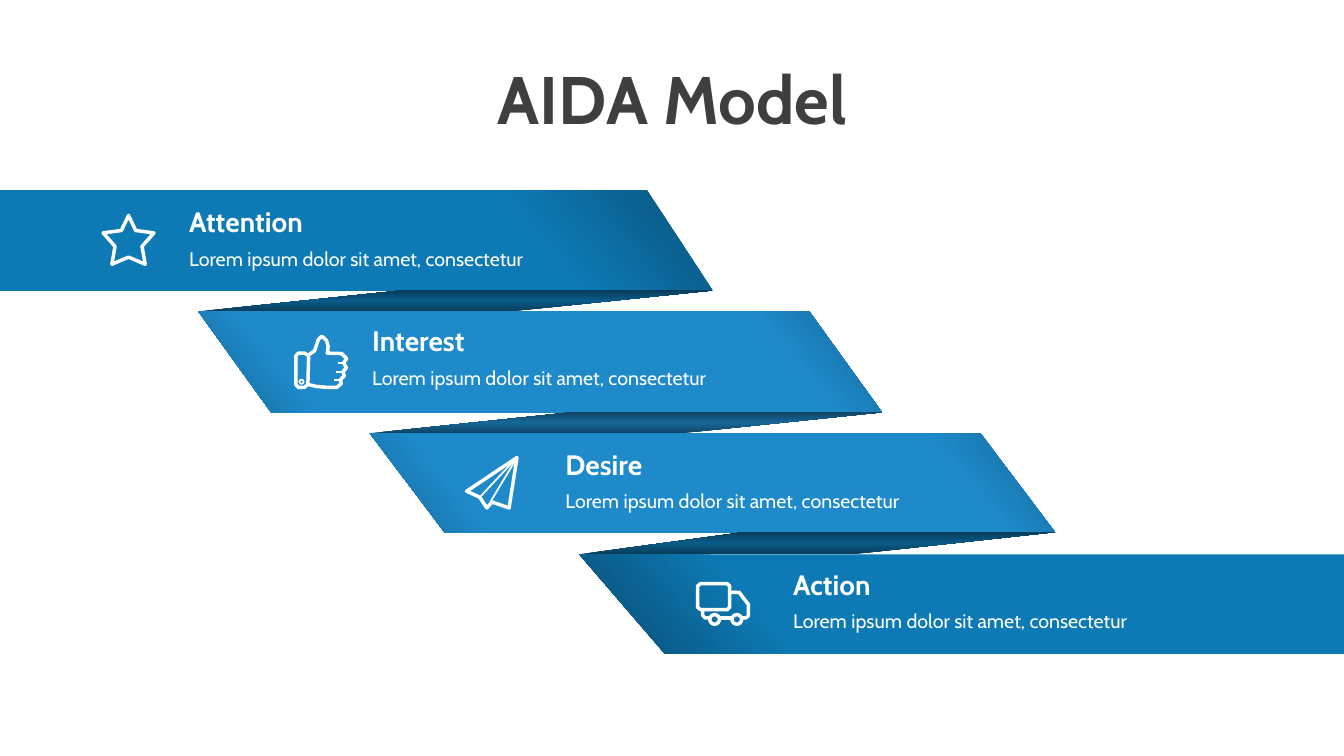
"""Builds the AIDA Model slide: a folded ribbon with four labelled bands."""
from dataclasses import dataclass
from math import cos, pi, sin
from typing import Optional

from lxml.etree import SubElement
from pptx import Presentation
from pptx.dml.color import RGBColor
from pptx.enum.text import MSO_ANCHOR as Anchor, MSO_AUTO_SIZE as AutoSize, PP_ALIGN as Align
from pptx.oxml.ns import qn
from pptx.shapes.autoshape import Shape
from pptx.slide import Slide
from pptx.util import Cm, Pt

COLORS = {
    "title": "3F3F3F", "white": "FFFFFF",
    "outer": "0D7AB5", "outer_shade": "0A5B88", "outer_fold": "073D5A",
    "inner": "1E8ACA", "inner_shade": "176798", "inner_fold": "0F4565",
}
FONT = "Cabin"
BODY = "Lorem ipsum dolor sit amet, consectetur"

Point = tuple[float, float]
Stops = tuple[tuple[int, str], ...]


@dataclass(frozen=True)
class Contour:
    points: tuple[Point, ...]
    closed: bool = True


@dataclass(frozen=True)
class Strokes:
    weight: float
    contours: tuple[Contour, ...]


@dataclass(frozen=True)
class Icon:
    left: float
    top: float
    strokes: tuple[Strokes, ...]


@dataclass(frozen=True)
class Fold:
    upper_x: float
    lower_x: float
    edge: str
    middle: str


@dataclass(frozen=True)
class Band:
    heading: str
    top: float
    bottom: float
    top_left: float
    top_right: float
    bottom_left: float
    bottom_right: float
    stops: Stops
    text_left: float
    text_top: float
    icon: Icon
    fold: Optional[Fold] = None


def circle(x: float, y: float, radius: float, steps: int = 24) -> Contour:
    """Return a closed ring of evenly spaced points."""
    angles = [2 * pi * step / steps for step in range(steps)]
    return Contour(tuple((x + radius * cos(a), y + radius * sin(a)) for a in angles))


def open_line(*points: Point) -> Contour:
    """Return an unclosed contour."""
    return Contour(points, closed=False)


STAR = Icon(2.54, 5.38, (Strokes(2.5, (Contour((
    (0.7, 0.05), (0.88, 0.43), (1.34, 0.49), (1.04, 0.83), (1.12, 1.28),
    (0.7, 1.1), (0.28, 1.28), (0.36, 0.83), (0.06, 0.49), (0.52, 0.43))),)),))

THUMB = Icon(7.42, 8.43, (
    Strokes(2.5, (
        Contour((
            (0.36, 0.51), (0.51, 0.41), (0.6, 0.13), (0.69, 0.04), (0.81, 0.15),
            (0.85, 0.3), (0.83, 0.47), (1.19, 0.48), (1.32, 0.61), (1.24, 0.71),
            (1.31, 0.84), (1.22, 0.94), (1.26, 1.04), (1.16, 1.14), (1.18, 1.24),
            (1.07, 1.33), (0.81, 1.33), (0.56, 1.31), (0.34, 1.26))),
        open_line((0.33, 0.52), (0.26, 0.47), (0.1, 0.47), (0.04, 0.53),
                  (0.04, 1.27), (0.1, 1.33), (0.26, 1.33), (0.33, 1.26)))),
    Strokes(1.25, (
        open_line((1.09, 0.71), (1.24, 0.71)), open_line((1.04, 0.94), (1.22, 0.94)),
        open_line((1, 1.14), (1.16, 1.14)), circle(0.18, 1.19, 0.05)))))

PLANE_TIP = (1.32, 0.05)
PLANE = Icon(11.71, 11.48, (
    Strokes(2.5, (Contour((PLANE_TIP, (0.05, 0.9), (0.38, 1.05), (0.56, 1.32),
                           (0.69, 1.17), (1.12, 1.32))),)),
    Strokes(1.25, (open_line(PLANE_TIP, (0.41, 1.02)), open_line(PLANE_TIP, (0.66, 1.15))))))

TRUCK = Icon(17.53, 14.66, (Strokes(2.5, (
    Contour(((0.12, 0.05), (0.8, 0.05), (0.86, 0.11), (0.86, 0.64),
             (0.8, 0.7), (0.12, 0.7), (0.05, 0.64), (0.05, 0.11))),
    open_line((0.86, 0.27), (1.1, 0.27), (1.33, 0.57), (1.33, 0.86), (1.27, 0.91), (1.18, 0.91)),
    open_line((0.62, 0.91), (0.9, 0.91)),
    open_line((0.34, 0.91), (0.24, 0.91), (0.18, 0.85), (0.18, 0.72)),
    circle(0.48, 0.95, 0.12), circle(1.04, 0.95, 0.12))),))

INNER_STOPS: Stops = ((0, "inner_shade"), (17, "inner"), (84, "inner"), (100, "inner_shade"))

BANDS = (
    Band("Attention", 4.8, 7.32, 0, 16.31, 0, 17.96,
         ((6, "outer_shade"), (27, "outer")), 4.52, 5.03, STAR,
         Fold(10.11, 12.83, "outer_fold", "outer_shade")),
    Band("Interest", 7.85, 10.39, 5, 20.4, 6.83, 22.23, INNER_STOPS, 9.13, 8.03, THUMB,
         Fold(14.4, 17.15, "inner_fold", "inner_shade")),
    Band("Desire", 10.92, 13.41, 9.32, 24.71, 11.2, 26.59, INNER_STOPS, 14, 11.15, PLANE,
         Fold(18.75, 21.46, "outer_fold", "outer_shade")),
    Band("Action", 13.97, 16.48, 14.6, 33.87, 16.76, 33.87,
         ((74, "outer"), (91, "outer_shade")), 19.74, 14.17, TRUCK),
)


def color(name: str) -> RGBColor:
    """Look up a named colour."""
    return RGBColor.from_string(COLORS[name])


def draw_contours(slide: Slide, contours: tuple[Contour, ...], left: float = 0, top: float = 0) -> Shape:
    """Draw contours as one freeform, offset by left and top."""
    builder = None
    for contour in contours:
        start, *rest = [(Cm(left + x), Cm(top + y)) for x, y in contour.points]
        if builder is None:
            builder = slide.shapes.build_freeform(*start)
        else:
            builder.move_to(*start)
        builder.add_line_segments(rest, close=contour.closed)
    outline = builder.convert_to_shape()
    outline.shadow.inherit = False
    return outline


def draw_ribbon(slide: Slide, points: tuple[Point, ...], stops: Stops, angle: float) -> None:
    """Draw a borderless ribbon part with a linear gradient."""
    ribbon = draw_contours(slide, (Contour(points),))
    ribbon.line.fill.background()
    ribbon.fill.gradient()
    ribbon.fill.gradient_angle = angle
    stop_list = next(ribbon.element.iter(qn("a:gsLst")))
    stop_list.clear()
    for position, name in stops:
        stop = SubElement(stop_list, qn("a:gs"), pos=str(position * 1000))
        SubElement(stop, qn("a:srgbClr"), val=COLORS[name])


def draw_icon(slide: Slide, icon: Icon) -> None:
    """Draw an icon in white strokes with round joins."""
    for strokes in icon.strokes:
        outline = draw_contours(slide, strokes.contours, icon.left, icon.top)
        outline.fill.background()
        outline.line.color.rgb = color("white")
        outline.line.width = Pt(strokes.weight)
        SubElement(next(outline.element.iter(qn("a:ln"))), qn("a:round"))


def add_text(slide: Slide, text: str, box: tuple[float, float, float, float], size: int,
             name: str = "white", bold: bool = False, spacing: float = 1.0,
             title: bool = False) -> None:
    """Add a one-paragraph text box."""
    frame = slide.shapes.add_textbox(*map(Cm, box)).text_frame
    frame.word_wrap = True
    frame.auto_size = AutoSize.NONE if title else AutoSize.SHAPE_TO_FIT_TEXT
    frame.vertical_anchor = Anchor.MIDDLE if title else Anchor.TOP
    paragraph = frame.paragraphs[0]
    paragraph.text = text
    paragraph.alignment = Align.CENTER if title else Align.LEFT
    paragraph.line_spacing = spacing
    font = paragraph.font
    font.name, font.size, font.bold = FONT, Pt(size), bold
    font.color.rgb = color(name)


def main() -> None:
    """Build and save the slide."""
    deck = Presentation()
    deck.slide_width, deck.slide_height = Cm(33.87), Cm(19.05)
    slide = deck.slides.add_slide(deck.slide_layouts[6])
    for band in BANDS:
        draw_ribbon(slide, ((band.top_right, band.top), (band.top_left, band.top),
                            (band.bottom_left, band.bottom), (band.bottom_right, band.bottom)),
                    band.stops, 220)
    for upper, lower in zip(BANDS, BANDS[1:]):
        fold = upper.fold
        draw_ribbon(slide, ((fold.lower_x, lower.top), (lower.top_left, lower.top),
                            (fold.upper_x, upper.bottom), (upper.bottom_right, upper.bottom)),
                    ((0, fold.edge), (51, fold.middle), (100, fold.edge)), 90)
    add_text(slide, "AIDA Model", (2.34, 0.76, 29.21, 3.66), 48, "title", True, 0.9, title=True)
    for band in BANDS:
        add_text(slide, band.heading, (band.text_left, band.text_top, 5.97, 1.12), 20, bold=True)
        add_text(slide, BODY, (band.text_left, band.text_top + 0.76, 11, 1.07), 14, spacing=1.5)
        draw_icon(slide, band.icon)
    deck.save("out.pptx")


if __name__ == "__main__":
    main()
